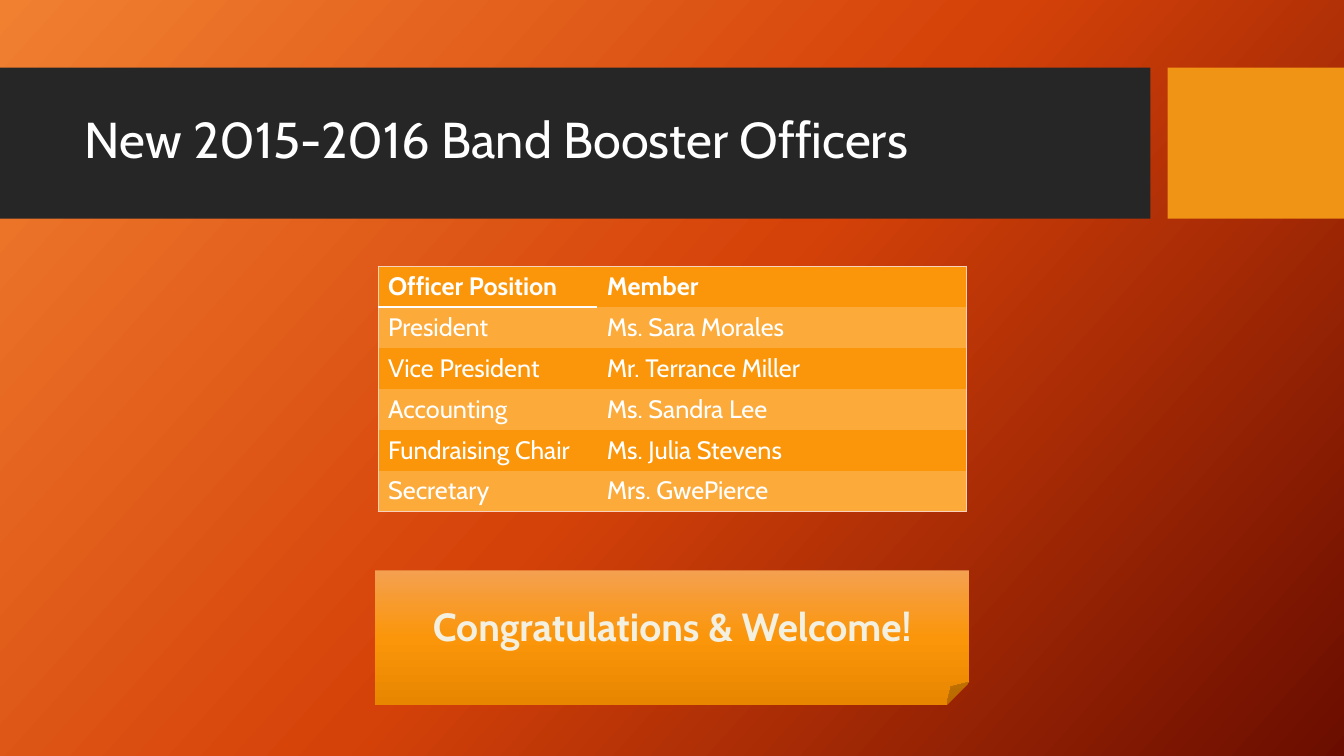
from copy import deepcopy

from pptx import Presentation
from pptx.dml.color import RGBColor
from pptx.enum.shapes import MSO_SHAPE as Shape
from pptx.enum.text import MSO_ANCHOR as Anchor, PP_ALIGN as Align
from pptx.oxml import parse_xml
from pptx.oxml.ns import nsdecls, qn
from pptx.util import Inches, Pt

TITLE = "New 2015-2016 Band Booster Officers"
OFFICERS = [
    ("Officer Position", "Member"),
    ("President", "Ms. Sara Morales"),
    ("Vice President", "Mr. Terrance Miller"),
    ("Accounting", "Ms. Sandra Lee"),
    ("Fundraising Chair", "Ms. Julia Stevens"),
    ("Secretary", "Mrs. GwePierce"),
]
WELCOME = "Congratulations & Welcome!"

FONT = "Cabin"
BACKGROUND = ("F18031", "D54209", "6A0D00")
NOTE_FILL = ("F4A050", "FB960A", "E88600")
ROW_FILLS = ("FB960A", "FCAB3B")
BORDER = "F8D2BD"
BANDS = [(0, 11.41, "262626"), (11.58, 1.75, "F09415")]
COLUMN_WIDTHS = (2.17, 3.67)
ROW_HEIGHT = 0.405


def rgb(value):
    return RGBColor.from_string(value)


def set_gradient(fill, colors, angle):
    """Spread the colours evenly along a clockwise angle."""
    fill.gradient()
    first = fill.gradient_stops[0]._gs
    for _ in range(len(colors) - len(fill.gradient_stops)):
        first.addnext(deepcopy(first))
    for index, (stop, color) in enumerate(zip(fill.gradient_stops, colors)):
        stop.color.rgb = rgb(color)
        stop.position = index / (len(colors) - 1)
    fill.gradient_angle = 360 - angle


def style_text(paragraph, size, color, bold=False):
    for run in paragraph.runs:
        run.font.name = FONT
        run.font.size = Pt(size)
        run.font.bold = bold
        run.font.color.rgb = rgb(color)


def add_plain_shape(slide, kind, left, top, width, height):
    shape = slide.shapes.add_shape(
        kind, Inches(left), Inches(top), Inches(width), Inches(height))
    shape.shadow.inherit = False
    shape.line.fill.background()
    return shape


def set_borders(cell, borders):
    """Draw the sides given as {side: (colour, points)}, and hide the others."""
    properties = cell._tc.get_or_add_tcPr()
    for position, side in enumerate("LRTB"):
        color, width = borders.get(side, (None, 0))
        paint = (f'<a:solidFill><a:srgbClr val="{color}"/></a:solidFill>'
                 if color else "<a:noFill/>")
        properties.insert(position, parse_xml(
            f'<a:ln{side} {nsdecls("a")} w="{Pt(width)}">{paint}</a:ln{side}>'))


def add_officer_table(slide):
    last_row, last_column = len(OFFICERS) - 1, len(COLUMN_WIDTHS) - 1
    table = slide.shapes.add_table(
        len(OFFICERS), len(COLUMN_WIDTHS), Inches(3.75), Inches(2.64),
        Inches(sum(COLUMN_WIDTHS)), Inches(ROW_HEIGHT * len(OFFICERS))).table
    for column, width in zip(table.columns, COLUMN_WIDTHS):
        column.width = Inches(width)
    for row_index, texts in enumerate(OFFICERS):
        table.rows[row_index].height = Inches(ROW_HEIGHT)
        for column_index, text in enumerate(texts):
            cell = table.cell(row_index, column_index)
            cell.text_frame.text = text
            style_text(cell.text_frame.paragraphs[0], 18, "FFFFFF", row_index == 0)
            cell.fill.solid()
            cell.fill.fore_color.rgb = rgb(ROW_FILLS[row_index % 2])
            outer_sides = {"L": column_index == 0, "R": column_index == last_column,
                           "T": row_index == 0, "B": row_index == last_row}
            borders = {side: (BORDER, 0.75)
                       for side, outer in outer_sides.items() if outer}
            if row_index == 0 and column_index == 0:
                borders["B"] = ("FFFFFF", 1.5)
            elif row_index == 1 and column_index == 0:
                borders["T"] = ("FFFFFF", 1.5)
            set_borders(cell, borders)


def add_title(slide):
    for left, width, color in BANDS:
        band = add_plain_shape(slide, Shape.RECTANGLE, left, 0.67, width, 1.5)
        band.fill.solid()
        band.fill.fore_color.rgb = rgb(color)
    title = slide.shapes.title
    title.left, title.top = Inches(0.74), Inches(0.82)
    title.width, title.height = Inches(10.51), Inches(1.18)
    # Bring the title in front of its band
    title.element.getparent().append(title.element)
    title.text_frame.text = TITLE
    title.text_frame.vertical_anchor = Anchor.MIDDLE
    paragraph = title.text_frame.paragraphs[0]
    paragraph.alignment = Align.LEFT
    paragraph.line_spacing = 0.9
    style_text(paragraph, 36, "FFFFFF")


def add_welcome_note(slide):
    note = add_plain_shape(slide, Shape.FOLDED_CORNER, 3.72, 5.66, 5.89, 1.33)
    set_gradient(note.fill, NOTE_FILL, 90)
    note.text_frame.text = WELCOME
    note.text_frame.vertical_anchor = Anchor.MIDDLE
    paragraph = note.text_frame.paragraphs[0]
    paragraph.alignment = Align.CENTER
    style_text(paragraph, 28, "F3F0E1", bold=True)


def main():
    presentation = Presentation()
    presentation.slide_width = Inches(13.33)
    presentation.slide_height = Inches(7.5)
    slide = presentation.slides.add_slide(presentation.slide_layouts[5])
    set_gradient(slide.background.fill, BACKGROUND, 42)
    add_title(slide)
    add_officer_table(slide)
    add_welcome_note(slide)
    presentation.save("out.pptx")


if __name__ == "__main__":
    main()
